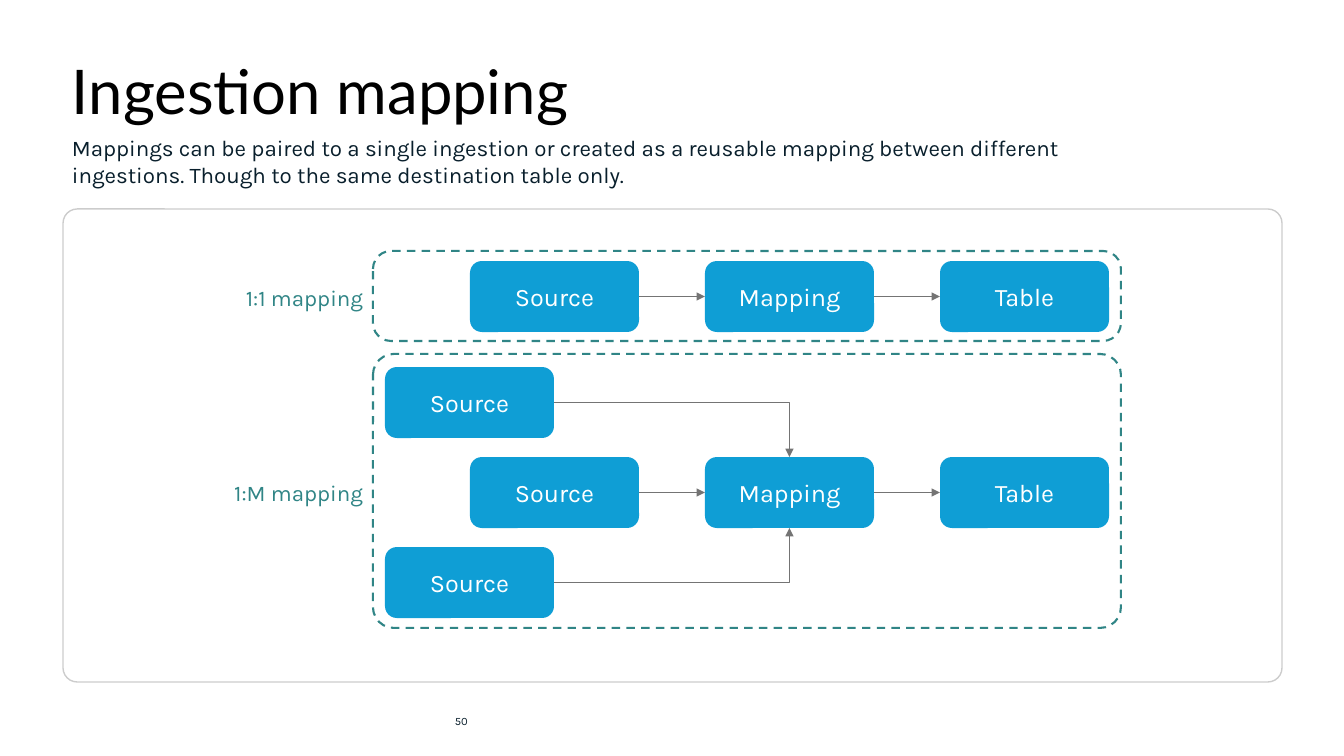
from lxml import etree
from pptx import Presentation
from pptx.dml.color import RGBColor
from pptx.enum.dml import MSO_LINE
from pptx.enum.shapes import MSO_CONNECTOR, MSO_SHAPE
from pptx.enum.text import MSO_ANCHOR, PP_ALIGN
from pptx.oxml.ns import qn
from pptx.util import Pt

ROUND = MSO_SHAPE.ROUNDED_RECTANGLE
STRAIGHT, ELBOW = MSO_CONNECTOR.STRAIGHT, MSO_CONNECTOR.ELBOW
DASH = MSO_LINE.DASH
TOP, MIDDLE = MSO_ANCHOR.TOP, MSO_ANCHOR.MIDDLE
LEFT, CENTER, RIGHT = PP_ALIGN.LEFT, PP_ALIGN.CENTER, PP_ALIGN.RIGHT
PX = 914400 / 100.8

theme = {
    "white": RGBColor.from_string("FFFFFF"),
    "black": RGBColor.from_string("000000"),
    "blue": RGBColor.from_string("0F9ED5"),
    "teal": RGBColor.from_string("308586"),
    "gray": RGBColor.from_string("747474"),
    "title": ("Lato", 44, "000000"),
    "body": ("Karla", 16, "091F2C"),
    "page": ("Karla", 8, "091F2C"),
    "box": ("Karla", 18, "FFFFFF"),
    "label": ("Karla", 16, "308586"),
}


def px(*sizes):
    return [round(size * PX) for size in sizes]


def write(shape, text, style, align=LEFT, anchor=MIDDLE, wrap=True):
    frame = shape.text_frame
    frame.word_wrap = wrap
    frame.vertical_anchor = anchor
    para = frame.paragraphs[0]
    para.text = text
    para.alignment = align
    name, size, color = theme[style]
    para.font.name = name
    para.font.size = Pt(size)
    para.font.color.rgb = RGBColor.from_string(color)
    return para


deck = Presentation()
deck.slide_width, deck.slide_height = px(1344, 756)
shapes = deck.slides.add_slide(deck.slide_layouts[6]).shapes

panel = shapes.add_shape(ROUND, *px(63, 209, 1219, 473))
panel.shadow.inherit = False
panel.adjustments[0] = 0.03
panel.fill.solid()
panel.fill.fore_color.rgb = theme["white"]
panel.line.color.rgb = theme["black"]
panel.line.width = Pt(1)
tint = panel.line._ln.find(".//" + qn("a:srgbClr")) if hasattr(panel.line, "_ln") else panel._element.spPr.find(".//" + qn("a:ln") + "//" + qn("a:srgbClr"))
etree.SubElement(tint, qn("a:alpha")).set("val", "20000")

title = write(shapes.add_textbox(*px(62, 55, 1220, 80)), "Ingestion mapping", "title")
title.line_spacing = 0.9
write(shapes.add_textbox(*px(445, 701, 454, 40)), "50", "page")
write(
    shapes.add_textbox(*px(62, 129, 1097, 85)),
    "Mappings can be paired to a single ingestion or created as a reusable mapping "
    "between different ingestions. Though to the same destination table only.",
    "body", anchor=TOP,
)

boxes = {}
for key, text, left, top in [
    ("one", "Source", 470, 261),
    ("one map", "Mapping", 705, 261),
    ("one table", "Table", 940, 261),
    ("upper", "Source", 385, 367),
    ("many table", "Table", 940, 457),
    ("middle", "Source", 470, 457),
    ("many map", "Mapping", 705, 457),
    ("lower", "Source", 385, 547),
]:
    box = shapes.add_shape(ROUND, *px(left, top, 169, 71))
    box.shadow.inherit = False
    box.fill.solid()
    box.fill.fore_color.rgb = theme["blue"]
    box.line.fill.background()
    write(box, text, "box", CENTER, wrap=False)
    frame = box.text_frame
    frame.margin_left, frame.margin_right, frame.margin_top, frame.margin_bottom = px(16, 16, 3, 3)
    boxes[key] = box

for text, width, high, top, tall, bend in [
    ("1:M mapping", 149, 474, 354, 274, 0.076),
    ("1:1 mapping", 138, 279, 251, 90, 0.2),
]:
    label = shapes.add_textbox(*px(373 - width, high, width, 37))
    write(label, text, "label", RIGHT, TOP, wrap=False)
    band = shapes.add_shape(ROUND, *px(373, top, 748, tall))
    band.shadow.inherit = False
    band.adjustments[0] = bend
    band.fill.background()
    band.line.color.rgb = theme["teal"]
    band.line.width = Pt(1.5)
    band.line.dash_style = DASH

for start, end, side in [
    ("upper", "many map", 0),
    ("lower", "many map", 2),
    ("one", "one map", 1),
    ("one map", "one table", 1),
    ("many map", "many table", 1),
    ("middle", "many map", 1),
]:
    arrow = shapes.add_connector(STRAIGHT if side == 1 else ELBOW, 0, 0, 0, 0)
    arrow.begin_connect(boxes[start], 3)
    arrow.end_connect(boxes[end], side)
    arrow.line.color.rgb = theme["gray"]
    arrow.line.width = Pt(1)
    props = arrow._element.spPr
    if side != 1:
        props.find(qn("a:prstGeom")).set("prst", "bentConnector2")
    etree.SubElement(props.find(qn("a:ln")), qn("a:tailEnd")).set("type", "triangle")
    etree.SubElement(props, qn("a:effectLst"))

deck.save("out.pptx")
